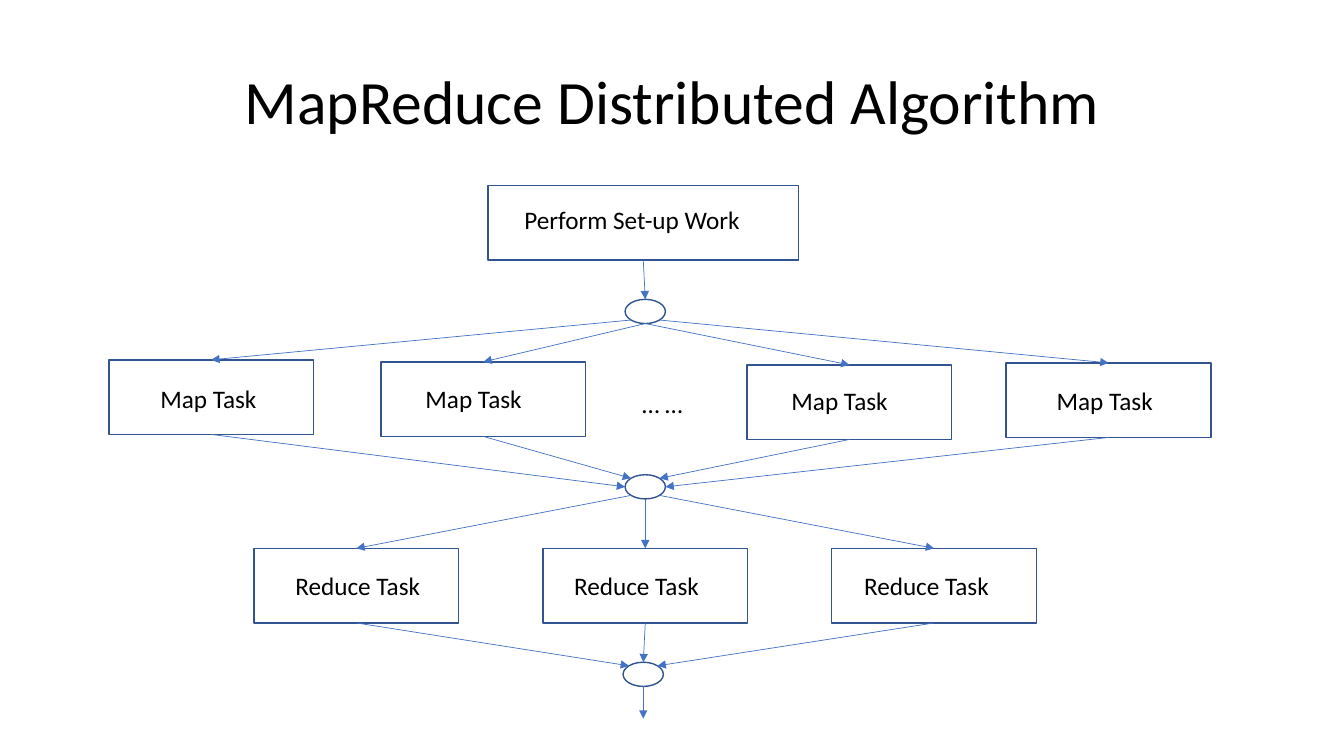
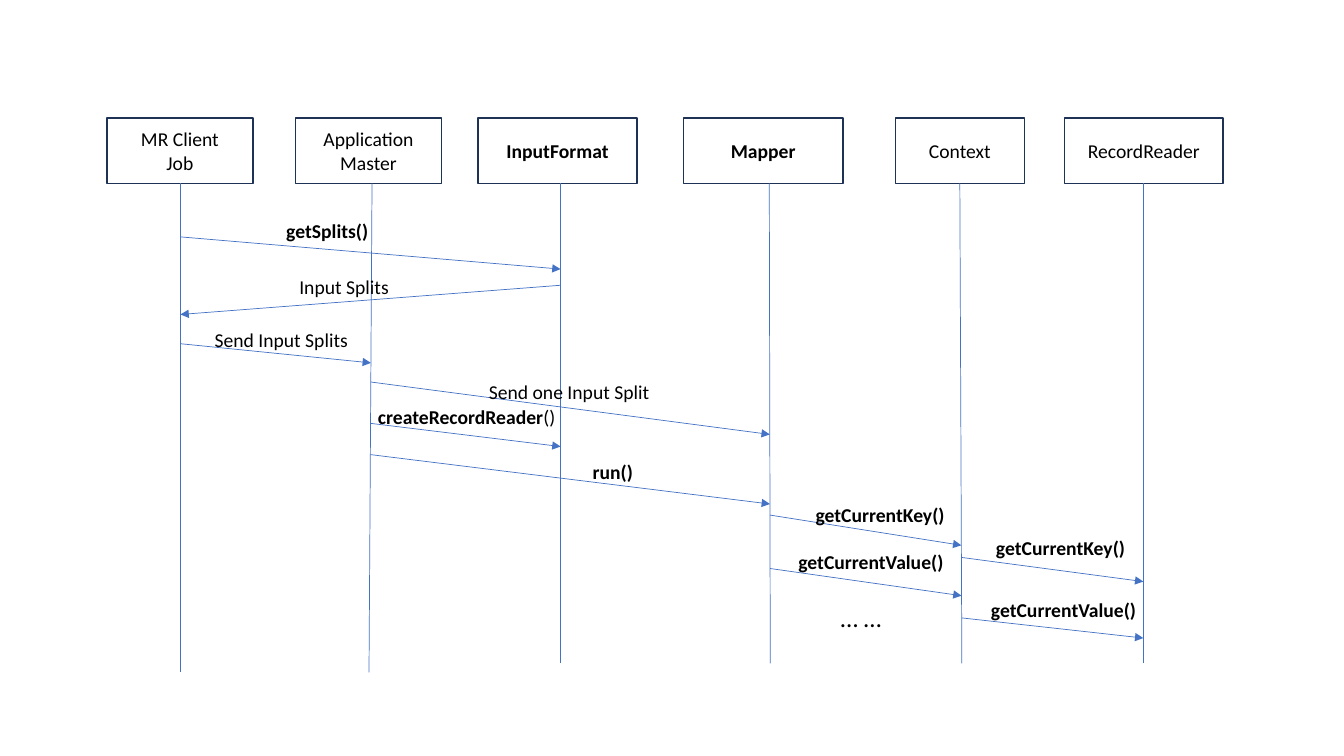
import math

from lxml import etree
from pptx import Presentation
from pptx.dml.color import RGBColor
from pptx.enum.shapes import MSO_CONNECTOR, MSO_SHAPE
from pptx.enum.text import MSO_ANCHOR, PP_ALIGN
from pptx.oxml.ns import qn
from pptx.util import Inches, Pt

RECTANGLE, ELLIPSE = MSO_SHAPE.RECTANGLE, MSO_SHAPE.OVAL
STRAIGHT = MSO_CONNECTOR.STRAIGHT
LEFT, CENTER = PP_ALIGN.LEFT, PP_ALIGN.CENTER
TOP_ANCHOR, MIDDLE_ANCHOR = MSO_ANCHOR.TOP, MSO_ANCHOR.MIDDLE

BLACK = RGBColor(0x00, 0x00, 0x00)
ARROW_BLUE = RGBColor(0x44, 0x72, 0xC4)
TASK_BORDER = RGBColor(0x32, 0x54, 0x91)
ACTOR_BORDER = RGBColor(0x1E, 0x32, 0x56)

FONT = "Calibri"
TITLE_SIZE, TASK_SIZE, MESSAGE_SIZE = Pt(44), Pt(18), Pt(14)
CELL = Inches(0.1)  # both a grid column and a grid row
TITLE_ONLY_LAYOUT, BLANK_LAYOUT = 5, 6

# Connection sites, counted anticlockwise from the top
BOX_TOP, BOX_BOTTOM = 0, 2
SITE_COUNT = {RECTANGLE: 4, ELLIPSE: 8}
(NODE_TOP, NODE_TOP_LEFT, NODE_LEFT, NODE_BOTTOM_LEFT,
 NODE_BOTTOM, NODE_BOTTOM_RIGHT, NODE_RIGHT, NODE_TOP_RIGHT) = range(8)

TASK_WIDTH, TASK_HEIGHT = 20.3, 7.4
# left, top, text indent, text drop
MAP_TASKS = [
    (10.8, 35.7, 5.1, 2.3),
    (37.8, 35.9, 4.4, 2.1),
    (74.1, 36.2, 4.4, 2.0),
    (99.8, 36.0, 5.0, 2.2),
]
REDUCE_LEFT, REDUCE_TOP, REDUCE_PITCH = 25.2, 54.4, 28.65
REDUCE_INDENTS = [4.1, 3.1, 3.2]

ACTOR_TOP, ACTOR_HEIGHT = 11.7, 6.5
LIFELINE_TOP = ACTOR_TOP + ACTOR_HEIGHT
# name, bold, box left, box width, lifeline x at head and foot, foot row
ACTORS = [
    ("MR Client Job", False, 10.6, 14.5, 17.9, 17.9, 66.7),
    ("Application Master", False, 29.3, 14.5, 36.9, 36.6, 66.7),
    ("InputFormat", True, 47.4, 15.8, 55.6, 55.6, 65.8),
    ("Mapper", True, 67.8, 15.8, 76.3, 76.4, 65.8),
    ("Context", False, 88.8, 12.8, 95.2, 95.4, 65.8),
    ("RecordReader", False, 105.6, 15.7, 113.4, 113.4, 65.8),
]
CLIENT, MASTER, INPUT_FORMAT, MAPPER, CONTEXT, READER = range(len(ACTORS))
# sender, receiver, start row, end row, label runs, label left, top, width
MESSAGES = [
    (CLIENT, INPUT_FORMAT, 23.5, 26.7, [("getSplits()", True)], 27.4, 21.2, 11.9),
    (INPUT_FORMAT, CLIENT, 28.3, 31.2, [("Input Splits", False)], 28.7, 26.8, 11.9),
    (CLIENT, MASTER, 34.1, 36.0, [("Send Input Splits", False)], 20.3, 32.0, 17.3),
    (MASTER, MAPPER, 37.9, 43.1, [("Send one Input Split", False)], 47.5, 37.2, 21.1),
    (MASTER, INPUT_FORMAT, 42.0, 44.3,
     [("createRecordReader", True), ("()", False)], 36.5, 39.7, 19.8),
    (MASTER, MAPPER, 45.1, 50.0, [("run()", True)], 57.8, 45.1, 7.7),
    (MAPPER, CONTEXT, 51.1, 54.1, [("getCurrentKey()", True)], 79.9, 49.4, 15.2),
    (MAPPER, CONTEXT, 56.4, 59.1, [("getCurrentValue()", True)], 78.2, 54.1, 17.0),
    (CONTEXT, READER, 55.3, 57.7, [("getCurrentKey()", True)], 97.8, 52.7, 15.2),
    (CONTEXT, READER, 61.3, 63.3, [("getCurrentValue()", True)], 97.3, 58.8, 18.2),
]


def grid(*cells):
    return [round(count * CELL) for count in cells]


def apply_format(target, values):
    for name, value in values.items():
        setattr(target, name, value)


def write_text(shape, runs, size, alignment, **frame_format):
    """Fill a shape with one paragraph of (text, bold) runs."""
    frame = shape.text_frame
    apply_format(frame, {"word_wrap": True, **frame_format})
    paragraph = frame.paragraphs[0]
    paragraph.alignment = alignment
    for text, bold in runs:
        run = paragraph.add_run()
        run.text = text
        apply_format(run.font, {"name": FONT, "size": size, "bold": bold})
        run.font.color.rgb = BLACK


def add_title(slide, text):
    title = slide.shapes.title
    left, top, width, height = grid(9.2, 4, 115, 12.8)
    apply_format(title, {"left": left, "top": top, "width": width, "height": height})
    write_text(title, [(text, False)], TITLE_SIZE, CENTER,
               vertical_anchor=MIDDLE_ANCHOR)
    title.text_frame.paragraphs[0].line_spacing = 0.9


def add_outline(slide, kind, bounds, color):
    shape = slide.shapes.add_shape(kind, *grid(*bounds))
    shape.shadow.inherit = False
    shape.fill.background()
    shape.line.color.rgb = color
    shape.line.width = Pt(1)
    return shape


def add_task(slide, text, bounds, indent, drop):
    task = add_outline(slide, RECTANGLE, bounds, TASK_BORDER)
    margin_left, margin_top = grid(indent, drop)
    write_text(task, [(text, False)], TASK_SIZE, LEFT, vertical_anchor=TOP_ANCHOR,
               margin_left=margin_left, margin_top=margin_top, margin_right=0)
    return task


def add_node(slide, left, top):
    return add_outline(slide, ELLIPSE, (left, top, 4, 2.4), TASK_BORDER)


def add_label(slide, runs, size, bounds):
    label = slide.shapes.add_textbox(*grid(*bounds))
    write_text(label, runs, size, LEFT)


def add_line(slide, start, end, arrow=True):
    line = slide.shapes.add_connector(STRAIGHT, *start, *end)
    line.line.color.rgb = ARROW_BLUE
    line.line.width = Pt(0.5)
    if arrow:
        etree.SubElement(line.line._get_or_add_ln(), qn("a:tailEnd"), type="triangle")
    etree.SubElement(line._element.spPr, qn("a:effectLst"))
    return line


def site_point(shape, site):
    angle = math.pi / 2 + 2 * math.pi * site / SITE_COUNT[shape.auto_shape_type]
    return (round(shape.left + shape.width * (1 + math.cos(angle)) / 2),
            round(shape.top + shape.height * (1 - math.sin(angle)) / 2))


def link(slide, source, source_site, target, target_site):
    """Draw an arrow that stays attached to both shapes."""
    line = add_line(slide, site_point(source, source_site),
                    site_point(target, target_site))
    properties = line._element.find(qn("p:nvCxnSpPr")).find(qn("p:cNvCxnSpPr"))
    ends = (("a:stCxn", source, source_site), ("a:endCxn", target, target_site))
    for tag, shape, site in ends:
        etree.SubElement(properties, qn(tag), id=str(shape.shape_id), idx=str(site))


def build_algorithm_slide(presentation):
    slide = presentation.slides.add_slide(presentation.slide_layouts[TITLE_ONLY_LAYOUT])
    add_title(slide, "MapReduce Distributed Algorithm")
    setup = add_task(slide, "Perform Set-up Work", (48.4, 18.4, 30.8, 7.4), 3.6, 1.9)
    map_tasks = [
        add_task(slide, "Map Task", (left, top, TASK_WIDTH, TASK_HEIGHT), indent, drop)
        for left, top, indent, drop in MAP_TASKS
    ]
    reduce_tasks = [
        add_task(slide, "Reduce Task",
                 (REDUCE_LEFT + index * REDUCE_PITCH, REDUCE_TOP,
                  TASK_WIDTH, TASK_HEIGHT), indent, 2.2)
        for index, indent in enumerate(REDUCE_INDENTS)
    ]
    add_label(slide, [("… …", False)], TASK_SIZE, (62.7, 38, 6.8, 4))
    fork, shuffle, finish = [
        add_node(slide, left, top) for left, top in ((62, 29.7), (62, 47.1), (61.8, 65.7))
    ]

    link(slide, setup, BOX_BOTTOM, fork, NODE_TOP)
    fork_sites = (NODE_BOTTOM_LEFT, NODE_BOTTOM, NODE_BOTTOM, NODE_BOTTOM_RIGHT)
    shuffle_sites = (NODE_LEFT, NODE_TOP_LEFT, NODE_TOP_RIGHT, NODE_RIGHT)
    for task, out_site, in_site in zip(map_tasks, fork_sites, shuffle_sites):
        link(slide, fork, out_site, task, BOX_TOP)
        link(slide, task, BOX_BOTTOM, shuffle, in_site)
    shuffle_exits = (NODE_BOTTOM_LEFT, NODE_BOTTOM, NODE_BOTTOM_RIGHT)
    finish_sites = (NODE_TOP_LEFT, NODE_TOP, NODE_TOP_RIGHT)
    for task, out_site, in_site in zip(reduce_tasks, shuffle_exits, finish_sites):
        link(slide, shuffle, out_site, task, BOX_TOP)
        link(slide, task, BOX_BOTTOM, finish, in_site)
    exit_x, exit_y = site_point(finish, NODE_BOTTOM)
    add_line(slide, (exit_x, exit_y), (exit_x, exit_y + round(3.2 * CELL)))


def add_actor(slide, name, bold, left, width, head, foot, foot_row):
    box = add_outline(slide, RECTANGLE, (left, ACTOR_TOP, width, ACTOR_HEIGHT),
                      ACTOR_BORDER)
    margin, = grid(2)
    write_text(box, [(name, bold)], MESSAGE_SIZE, CENTER,
               vertical_anchor=MIDDLE_ANCHOR, margin_left=margin, margin_right=margin)
    add_line(slide, grid(head, LIFELINE_TOP), grid(foot, foot_row), arrow=False)


def lifeline_point(actor, row):
    """Return the point of an actor's slightly slanted lifeline at a row."""
    head, foot, foot_row = ACTORS[actor][-3:]
    share = (row - LIFELINE_TOP) / (foot_row - LIFELINE_TOP)
    return grid(head + (foot - head) * share, row)


def build_sequence_slide(presentation):
    slide = presentation.slides.add_slide(presentation.slide_layouts[BLANK_LAYOUT])
    for actor in ACTORS:
        add_actor(slide, *actor)
    for sender, receiver, start_row, end_row, runs, left, top, width in MESSAGES:
        add_line(slide, lifeline_point(sender, start_row),
                 lifeline_point(receiver, end_row))
        add_label(slide, runs, MESSAGE_SIZE, (left, top, width, 3.4))
    add_label(slide, [("… …", False)], TASK_SIZE, (82.4, 59.3, 8.4, 4))


def main():
    presentation = Presentation()
    presentation.slide_width = Inches(13.33)
    presentation.slide_height = Inches(7.5)
    build_algorithm_slide(presentation)
    build_sequence_slide(presentation)
    presentation.save("out.pptx")


if __name__ == "__main__":
    main()
